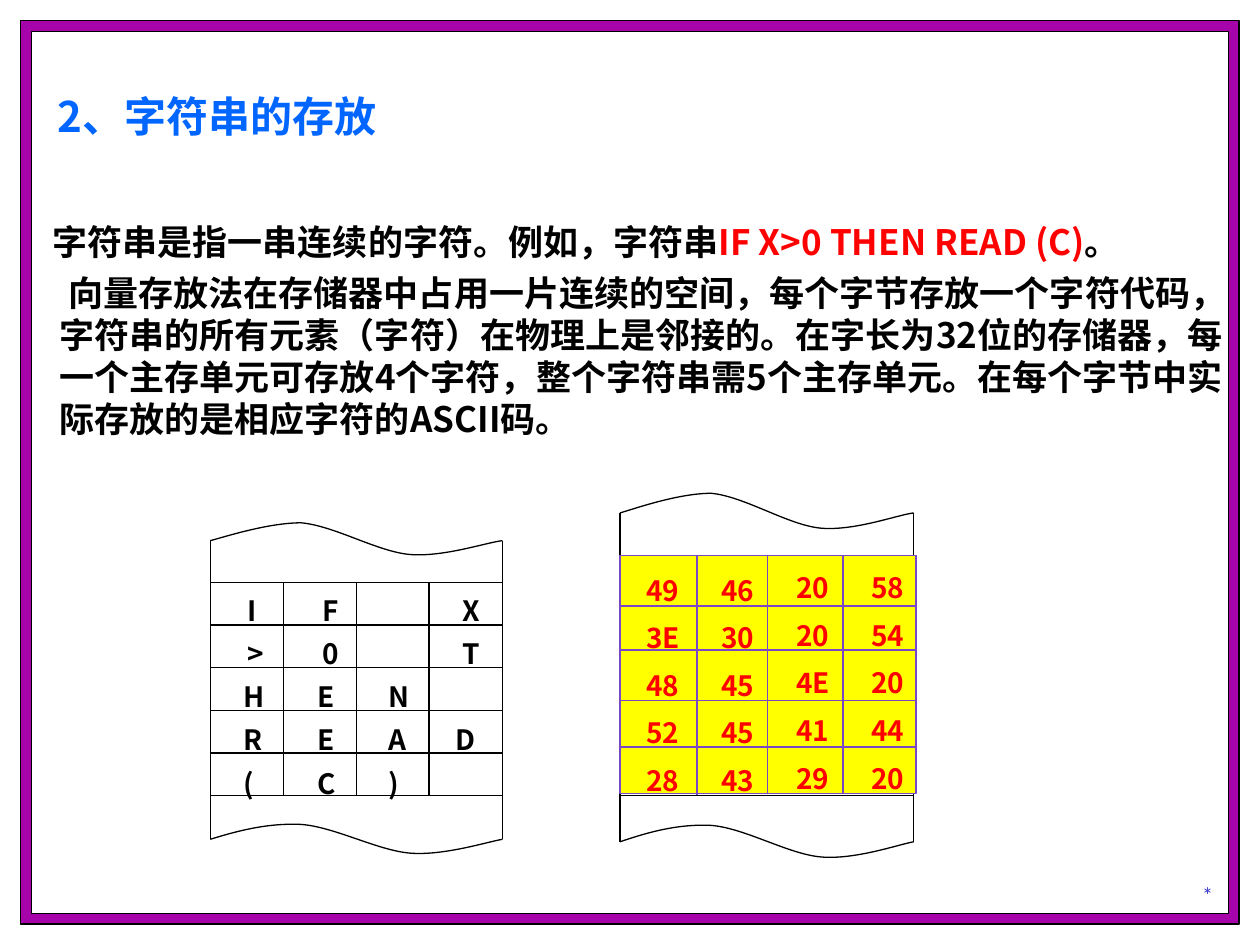
from lxml import etree
from pptx import Presentation
from pptx.dml.color import RGBColor
from pptx.enum.shapes import MSO_CONNECTOR, MSO_SHAPE
from pptx.enum.text import MSO_ANCHOR, PP_ALIGN
from pptx.oxml.ns import qn
from pptx.util import Cm, Pt

COLORS = {
    "frame": "A603AB", "white": "FFFFFF", "black": "000000", "title": "0066FF",
    "red": "FF0000", "yellow": "FFFF00", "grid": "7A48C4", "mark": "3333CC",
}
CJK = "Noto Sans CJK SC"


def add_line(x1, y1, x2, y2, color="black", width=0.75):
    line = slide.shapes.add_connector(
        MSO_CONNECTOR.STRAIGHT, Cm(x1), Cm(y1), Cm(x2), Cm(y2))
    line.line.color.rgb = RGBColor.from_string(COLORS[color])
    line.line.width = Pt(width)
    etree.SubElement(line.element.spPr, qn("a:effectLst"))


def write(paragraph, pieces, size, color, font=CJK, bold=True):
    paragraph.font.size = Pt(size)
    paragraph.font.bold = bold
    paragraph.font.color.rgb = RGBColor.from_string(COLORS[color])
    paragraph.font.name = font
    defaults = paragraph._p.pPr.find(qn("a:defRPr"))
    etree.SubElement(defaults, qn("a:ea")).set("typeface", font)
    for text, run_color in pieces:
        run = paragraph.add_run()
        run.text = text
        if run_color != color:
            run.font.color.rgb = RGBColor.from_string(COLORS[run_color])


presentation = Presentation()
presentation.slide_width, presentation.slide_height = Cm(25.4), Cm(19.05)
slide = presentation.slides.add_slide(presentation.slide_layouts[5])

for left, top, width, height, fill in (
        (0.42, 0.42, 24.56, 18.21, "frame"), (0.64, 0.64, 24.13, 17.78, "white")):
    shape = slide.shapes.add_shape(
        MSO_SHAPE.RECTANGLE, Cm(left), Cm(top), Cm(width), Cm(height))
    shape.shadow.inherit = False
    shape.fill.solid()
    shape.fill.fore_color.rgb = RGBColor.from_string(COLORS[fill])
    shape.line.color.rgb = RGBColor.from_string(COLORS["black"])
    shape.line.width = Pt(0.75)

title = slide.shapes.title
slide.shapes.element.append(title.element)
title.left, title.top, title.width, title.height = Cm(0.9), Cm(1.12), Cm(22.86), Cm(1.85)
title.text_frame.vertical_anchor = MSO_ANCHOR.BOTTOM
title.text_frame.paragraphs[0].alignment = PP_ALIGN.LEFT
write(title.text_frame.paragraphs[0], [("2、字符串的存放", "title")], 24, "title")

body = slide.shapes.add_textbox(Cm(0), Cm(4.32), Cm(25.4), Cm(5.08)).text_frame
body.word_wrap = True
body_paragraphs = [
    (-0.14, [("字符串是指一串连续的字符。例如，字符串", "black"),
             ("IF X>0 THEN READ (C)", "red"), ("。", "black")]),
    (0.18, [("向量存放法在存储器中占用一片连续的空间，每个字节存放一个字符代码，"
             "字符串的所有元素（字符）在物理上是邻接的。在字长为32位的存储器，"
             "每一个主存单元可存放4个字符，整个字符串需5个主存单元。"
             "在每个字节中实际存放的是相应字符的ASCII码。", "black")]),
]
for index, (indent, pieces) in enumerate(body_paragraphs):
    paragraph = body.add_paragraph() if index else body.paragraphs[0]
    write(paragraph, pieces, 20, "black")
    paragraph.space_before = Pt(5)
    properties = paragraph._p.get_or_add_pPr()
    properties.set("marL", str(Cm(0.95)))
    properties.set("indent", str(Cm(indent)))

upper_wave = [(0, 0), (0.3, -0.08), (1.17, -0.36), (1.83, -0.36), (2.51, -0.3),
              (3.38, 0.23), (4.04, 0.28), (4.72, 0.33), (5.59, 0.03), (5.89, 0)]
lower_wave = [(0, 0), (0.58, -0.18), (1.17, -0.33), (1.83, -0.3), (2.51, -0.25),
              (3.38, 0.23), (4.04, 0.28), (4.72, 0.33), (5.59, 0.05), (5.89, 0)]
tapes = [(4.24, 10.9, 16.92, 5.89, 1, 11.74, 16.04),
         (12.5, 10.34, 16.97, 5.92, 1.1, 11.23, 16.03)]
for left, top, bottom, width, stretch, data_top, data_bottom in tapes:
    for x in (left, left + width):
        add_line(x, top, x, bottom)
    for y in (data_top, data_bottom):
        add_line(left, y, left + width, y)
    for base, wave in ((top, upper_wave), (bottom, lower_wave)):
        points = [(Cm(left + x * width / 5.89), Cm(base + y * stretch)) for x, y in wave]
        builder = slide.shapes.build_freeform(*points[0])
        builder.add_line_segments(points[1:], close=False)
        edge = builder.convert_to_shape()
        segments = list(edge.element.iter(qn("a:lnTo")))
        for start in range(0, len(segments), 3):
            curve = etree.Element(qn("a:cubicBezTo"))
            segments[start].addprevious(curve)
            for segment in segments[start:start + 3]:
                curve.append(segment[0])
                segment.getparent().remove(segment)
        edge.shadow.inherit = False
        edge.fill.background()
        edge.line.color.rgb = RGBColor.from_string(COLORS["black"])
        edge.line.width = Pt(0.75)

for row in range(1, 5):
    y = 11.74 + 0.86 * row
    add_line(4.24, y, 10.13, y)
for column in range(1, 4):
    x = 4.24 + 1.47 * column
    add_line(x, 11.74, x, 16.04)

code_area = slide.shapes.add_shape(
    MSO_SHAPE.RECTANGLE, Cm(12.5), Cm(11.2), Cm(5.97), Cm(4.8))
code_area.shadow.inherit = False
code_area.fill.solid()
code_area.fill.fore_color.rgb = RGBColor.from_string(COLORS["yellow"])
code_area.line.color.rgb = RGBColor.from_string(COLORS["grid"])
code_area.line.width = Pt(1)
for y in (12.22, 13.11, 14.12, 15.06):
    add_line(12.5, y, 18.47, y, "grid", 1)
for x, top in ((14.05, 11.2), (15.47, 11.18), (16.99, 11.18)):
    add_line(x, top, x, top + 4.83, "grid", 1)

letters = ["IF X", ">0 T", "HEN ", "READ", "(C) "]
codes = ["49 46 20 58", "3E 30 20 54", "48 45 4E 20", "52 45 41 44", "28 43 29 20"]
cells = []
for row, (word, code_row) in enumerate(zip(letters, codes)):
    lefts = (4.75, 6.25, 7.66, 9.07) if row < 2 else (4.65, 6.15, 7.59, 8.94)
    for left, letter in zip(lefts, word):
        if letter != " ":
            cells.append((left, 11.84 + 0.87 * row, 2.59, letter, "black"))
    for column, code in enumerate(code_row.split()):
        top = 11.43 + 0.96 * row - 0.05 * (column > 1)
        cells.append((12.78 + 1.51 * column, top, 3.02, code, "red"))
for left, top, width, text, color in cells:
    box = slide.shapes.add_textbox(Cm(left), Cm(top), Cm(width), Cm(0.94))
    box.text_frame.word_wrap = True
    write(box.text_frame.paragraphs[0], [(text, color)], 16, color)

mark = slide.shapes.add_textbox(Cm(22.02), Cm(17.15), Cm(4.65), Cm(1.27)).text_frame
mark.word_wrap = True
mark.vertical_anchor = MSO_ANCHOR.BOTTOM
mark.paragraphs[0].alignment = PP_ALIGN.CENTER
write(mark.paragraphs[0], [("*", "mark")], 12, "mark", "Lato", False)

presentation.save("out.pptx")
